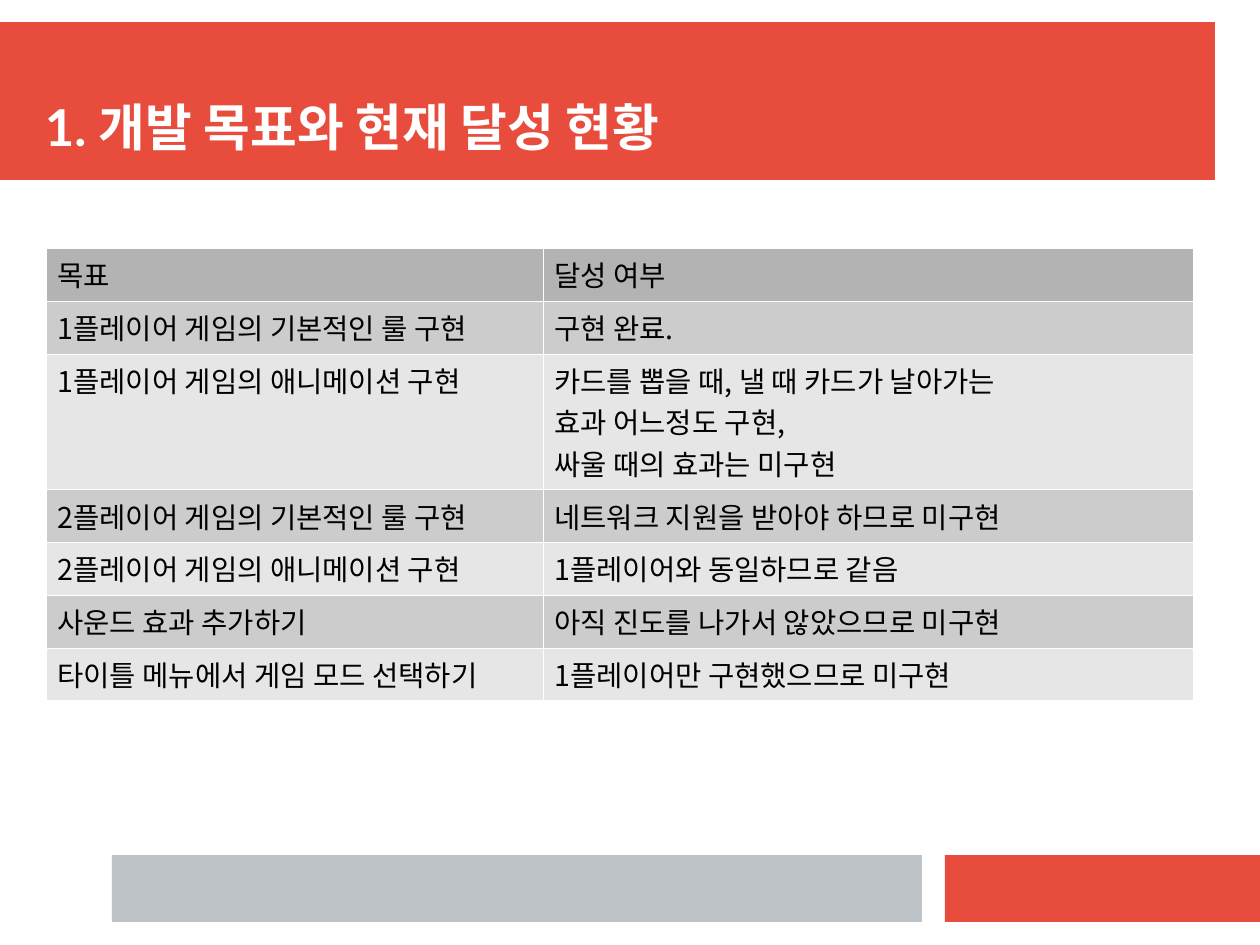
import pptx
import pptx.dml.color
import pptx.enum.shapes
import pptx.enum.text
import pptx.oxml
import pptx.oxml.ns
import pptx.util

RED = pptx.dml.color.RGBColor(0xE7, 0x4C, 0x3C)
SILVER = pptx.dml.color.RGBColor(0xBD, 0xC3, 0xC7)
WHITE = pptx.dml.color.RGBColor(0xFF, 0xFF, 0xFF)
BLACK = pptx.dml.color.RGBColor(0x00, 0x00, 0x00)
HEADER_GRAY = pptx.dml.color.RGBColor(0xB3, 0xB3, 0xB3)
BAND_GRAYS = (
    pptx.dml.color.RGBColor(0xE6, 0xE6, 0xE6),
    pptx.dml.color.RGBColor(0xCC, 0xCC, 0xCC),
)
KOREAN_FONT = "Noto Sans CJK KR"
ROW_HEIGHT = 47
GOALS = [
    ("목표", "달성 여부"),
    ("1플레이어 게임의 기본적인 룰 구현", "구현 완료."),
    ("1플레이어 게임의 애니메이션 구현",
     "카드를 뽑을 때, 낼 때 카드가 날아가는\n효과 어느정도 구현,\n싸울 때의 효과는 미구현"),
    ("2플레이어 게임의 기본적인 룰 구현", "네트워크 지원을 받아야 하므로 미구현"),
    ("2플레이어 게임의 애니메이션 구현", "1플레이어와 동일하므로 같음"),
    ("사운드 효과 추가하기", "아직 진도를 나가서 않았으므로 미구현"),
    ("타이틀 메뉴에서 게임 모드 선택하기", "1플레이어만 구현했으므로 미구현"),
]


def px(n):
    """Turn slide pixels into EMU."""
    return pptx.util.Emu(n * 8000)


def set_font(p, name, size, color, bold=False):
    """Format a paragraph's Latin and Korean text."""
    font = p.font
    font.name, font.size, font.bold = name, pptx.util.Pt(size), bold
    font.color.rgb = color
    ea = pptx.oxml.parse_xml(
        f'<a:ea {pptx.oxml.ns.nsdecls("a")} typeface="{KOREAN_FONT}"/>')
    p._p.pPr.find(pptx.oxml.ns.qn("a:defRPr")).append(ea)


def add_bar(s, x, y, w, h, color):
    """Add a plain coloured rectangle."""
    sp = s.shapes.add_shape(
        pptx.enum.shapes.MSO_SHAPE.RECTANGLE, px(x), px(y), px(w), px(h))
    sp.shadow.inherit = False
    sp.fill.solid()
    sp.fill.fore_color.rgb = color
    sp.line.fill.background()


def set_title(s, text):
    """Place the title in front of the bars."""
    sp = s.shapes.title
    s.shapes._spTree.append(sp._element)
    sp.left, sp.top, sp.width, sp.height = px(45), px(45), px(1170), px(112)
    tf = sp.text_frame
    tf.text = text
    tf.word_wrap = True
    tf.auto_size = pptx.enum.text.MSO_AUTO_SIZE.NONE
    tf.vertical_anchor = pptx.enum.text.MSO_ANCHOR.BOTTOM
    tf.margin_left = tf.margin_right = tf.margin_top = tf.margin_bottom = 0
    p = tf.paragraphs[0]
    p.alignment = pptx.enum.text.PP_ALIGN.LEFT
    set_font(p, "Lato", 32, WHITE, True)


def set_borders(cell):
    """Give a cell thin white borders."""
    for i, side in enumerate(("lnL", "lnR", "lnT", "lnB")):
        ln = pptx.oxml.parse_xml(
            f'<a:{side} {pptx.oxml.ns.nsdecls("a")} w="762"><a:solidFill>'
            f'<a:srgbClr val="{WHITE}"/></a:solidFill></a:{side}>')
        cell._tc.get_or_add_tcPr().insert(i, ln)


def add_goal_table(s, x, y, widths):
    """Add the table of goals and their status."""
    table = s.shapes.add_table(
        len(GOALS), len(widths), px(x), px(y), px(sum(widths)),
        px(ROW_HEIGHT * len(GOALS))).table
    table.first_row = table.horz_banding = False
    for column, width in zip(table.columns, widths):
        column.width = px(width)
    for i, texts in enumerate(GOALS):
        for j, text in enumerate(texts):
            cell = table.cell(i, j)
            cell.text = text
            cell.fill.solid()
            cell.fill.fore_color.rgb = BAND_GRAYS[i % 2] if i else HEADER_GRAY
            set_borders(cell)
            for p in cell.text_frame.paragraphs:
                set_font(p, KOREAN_FONT, 18, BLACK)


def main():
    """Build the goals slide and save it."""
    prs = pptx.Presentation()
    prs.slide_width, prs.slide_height = px(1260), px(945)
    s = prs.slides.add_slide(prs.slide_layouts.get_by_name("Title Only"))
    add_bar(s, 0, 22, 1215, 158, RED)
    add_bar(s, 945, 855, 315, 67, RED)
    add_bar(s, 112, 855, 810, 67, SILVER)
    set_title(s, "1. 개발 목표와 현재 달성 현황")
    add_goal_table(s, 46, 248, (497, 650))
    prs.save("out.pptx")


if __name__ == "__main__":
    main()
